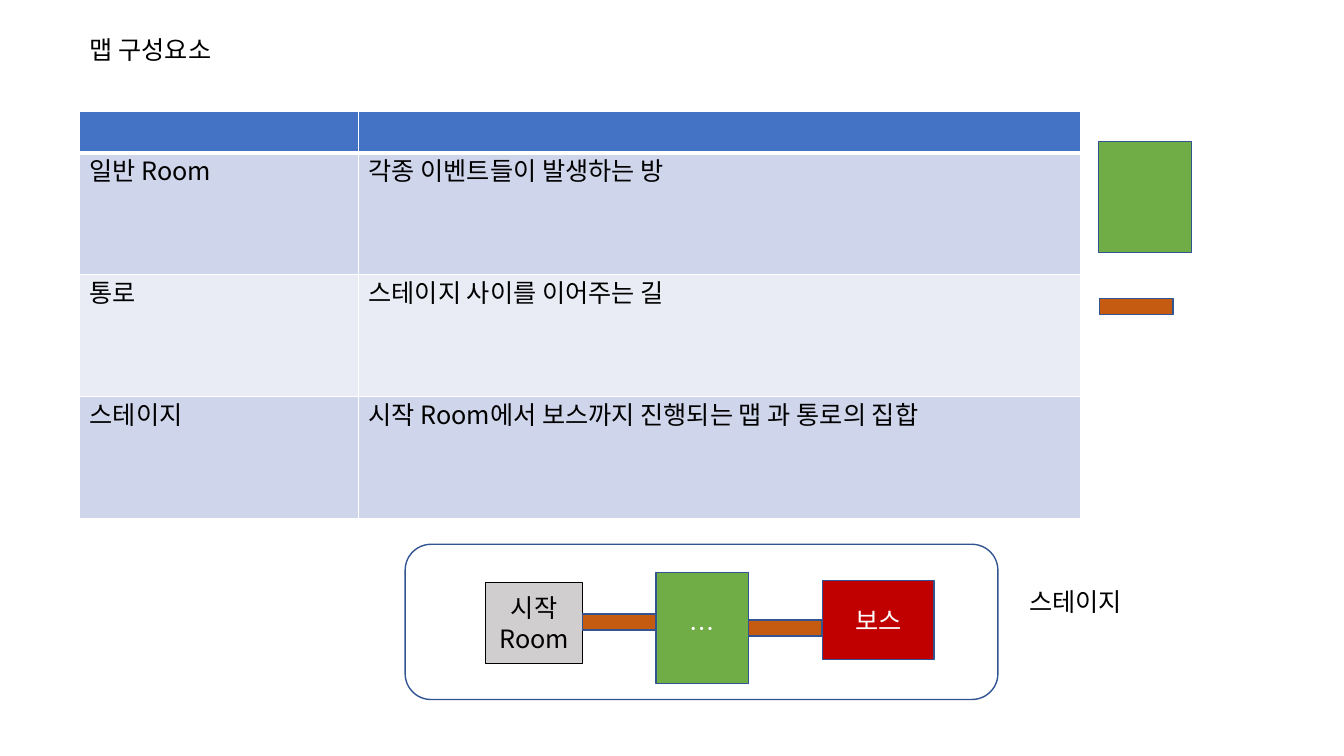
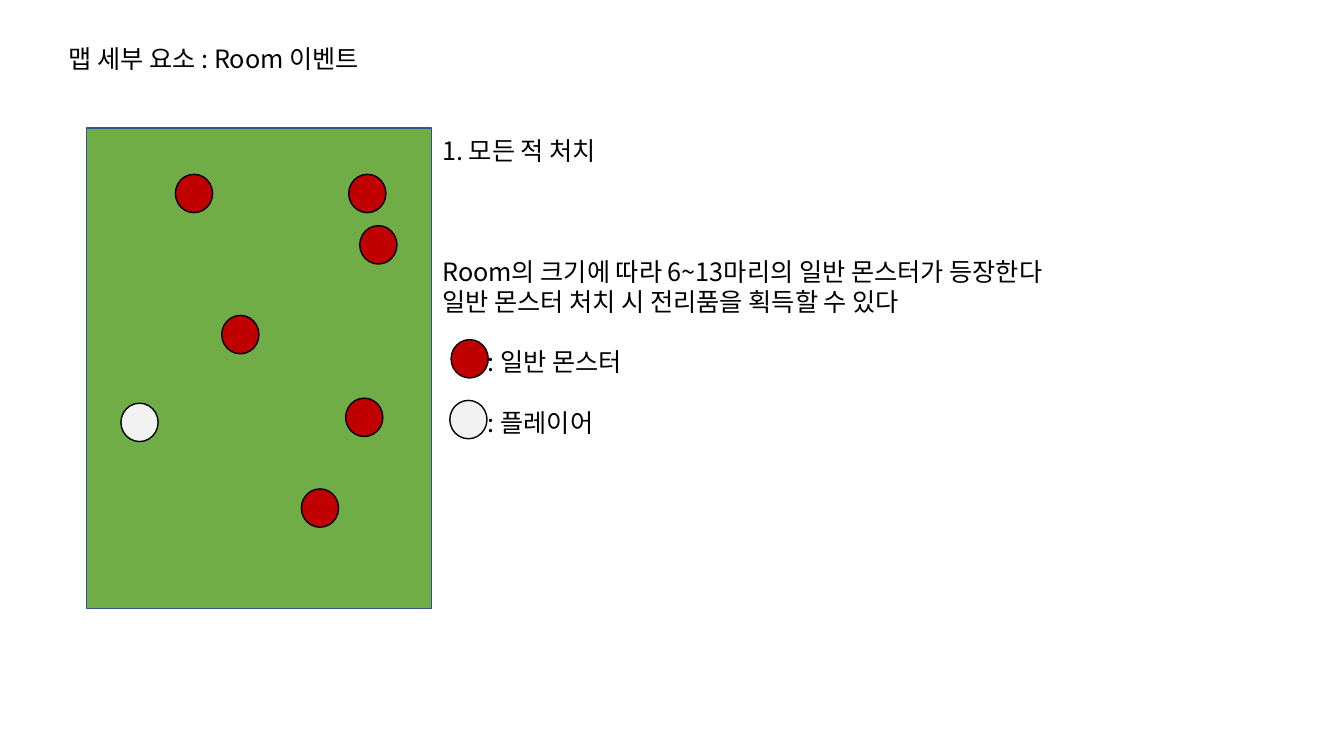
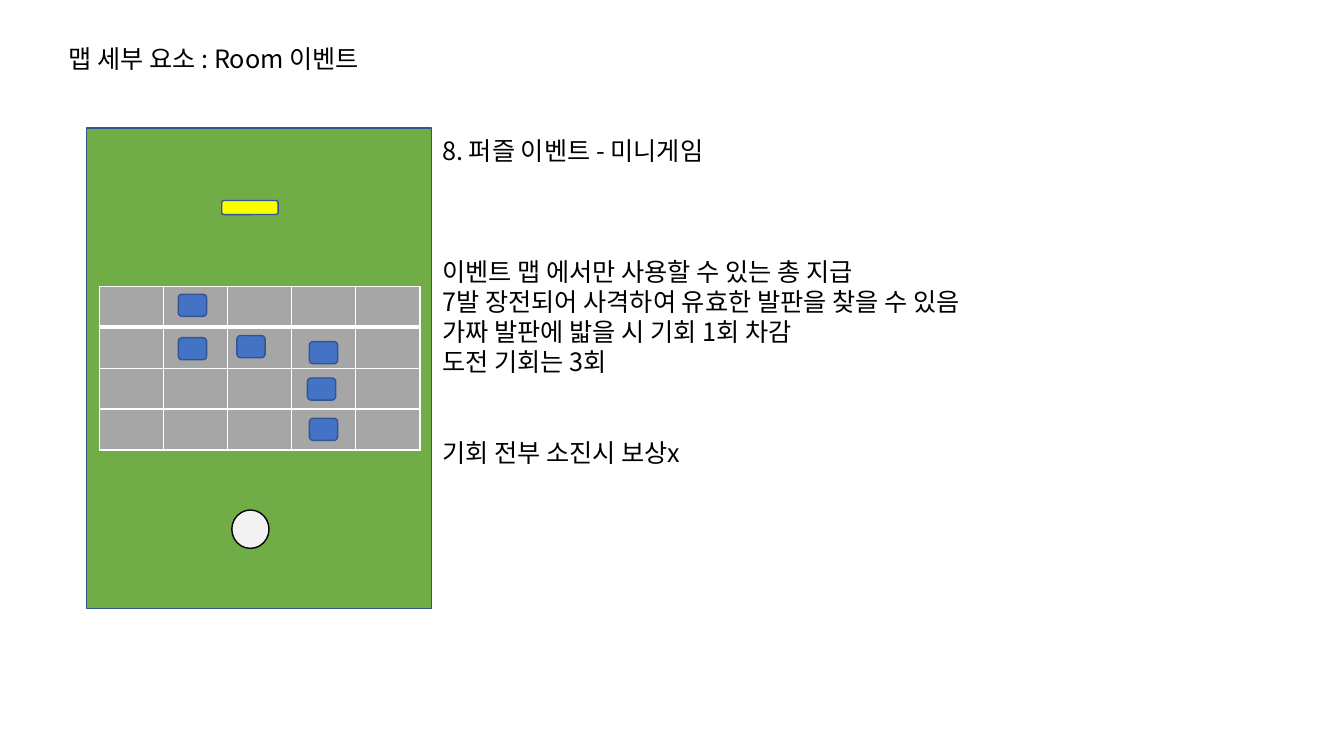
from lxml import etree
from pptx import Presentation
from pptx.dml.color import RGBColor
from pptx.enum.shapes import MSO_SHAPE
from pptx.enum.text import MSO_ANCHOR, MSO_AUTO_SIZE, PP_ALIGN
from pptx.oxml.ns import qn
from pptx.util import Pt

RECTANGLE = MSO_SHAPE.RECTANGLE
ROUNDED = MSO_SHAPE.ROUNDED_RECTANGLE
OVAL = MSO_SHAPE.OVAL
LEFT, CENTER = PP_ALIGN.LEFT, PP_ALIGN.CENTER
TOP, MIDDLE = MSO_ANCHOR.TOP, MSO_ANCHOR.MIDDLE
NO_AUTOSIZE = MSO_AUTO_SIZE.NONE

FONT = "Noto Sans CJK KR"
TEXT_SIZE = 18
LINE_PITCH = 21.6
TOP_INSET = 5
TITLE_ONLY = 5

BLACK, WHITE = "000000", "FFFFFF"
OUTLINE = "325491"
ROOM_GREEN = "70AD47"
CORRIDOR_ORANGE = "C55A11"
ENEMY_RED = "C00000"
PLAYER_GRAY = "F2F2F2"
START_GRAY = "D0CECE"
TILE_GRAY = "A6A6A6"
BLUE = "4472C4"
BANDS = ("CFD5EA", "E9EBF5")
GUN_YELLOW = "FFFF00"

ROOM_SIZE = (66.2, 79.2)
CORRIDOR_SIZE = (52.5, 11.5)
MARKER_SIZE = (26.6, 27.4)
BLOCK_SIZE = (20.2, 15.8)
ROOM_BOX = (61.9, 91.4, 246.2, 343.4)
NOTES_BOX = (308.9, 91.4, 640, 247)


def color(hex_string):
    return RGBColor.from_string(hex_string)


def points(values):
    return [Pt(value) for value in values]


def format_text(text_frame, text_color=BLACK, align=LEFT):
    for paragraph in text_frame.paragraphs:
        paragraph.alignment = align
        paragraph.line_spacing = Pt(LINE_PITCH)
        for run in paragraph.runs:
            run.font.size = Pt(TEXT_SIZE)
            run.font.name = FONT
            run.font.color.rgb = color(text_color)
            east_asian = etree.SubElement(run.font._element, qn("a:ea"))
            east_asian.set("typeface", FONT)


def format_frame(text_frame):
    text_frame.word_wrap = True
    text_frame.auto_size = NO_AUTOSIZE
    text_frame.vertical_anchor = TOP
    text_frame.margin_top = Pt(TOP_INSET)
    format_text(text_frame)


def add_titled_slide(presentation, title_text, left, top):
    slide = presentation.slides.add_slide(presentation.slide_layouts[TITLE_ONLY])
    title = slide.shapes.title
    title.left, title.top, title.width, title.height = points((left, top, 356.4, 28.8))
    title.text_frame.text = title_text
    format_frame(title.text_frame)
    return slide


def add_box(slide, kind, box, fill, line=OUTLINE, text="", text_color=WHITE):
    shape = slide.shapes.add_shape(kind, *points(box))
    shape.shadow.inherit = False
    if fill:
        shape.fill.solid()
        shape.fill.fore_color.rgb = color(fill)
    else:
        shape.fill.background()
    shape.line.color.rgb = color(line)
    shape.line.width = Pt(1)
    if text:
        shape.text_frame.text = text
        shape.text_frame.vertical_anchor = MIDDLE
        format_text(shape.text_frame, text_color, CENTER)


def add_notes(slide, box, lines):
    """Each line is its text, the number of lines left free above, and its indent."""
    text_frame = slide.shapes.add_textbox(*points(box)).text_frame
    text_frame.text = "\n".join(text for text, _, _ in lines)
    format_frame(text_frame)
    for paragraph, (_, free_lines, indent) in zip(text_frame.paragraphs, lines):
        paragraph.space_before = Pt(free_lines * LINE_PITCH)
        if indent:
            paragraph._p.get_or_add_pPr().set("marL", str(Pt(indent)))


def add_cell_borders(cell, widths):
    properties = cell._tc.get_or_add_tcPr()
    for side in ("L", "R", "T", "B"):
        line = etree.SubElement(properties, qn(f"a:ln{side}"), w=str(Pt(widths.get(side, 1))))
        fill = etree.SubElement(line, qn("a:solidFill"))
        etree.SubElement(fill, qn("a:srgbClr"), val=WHITE)


def add_grid(slide, left, top, column_widths, row_heights, row_fills, texts=None):
    """Table with white rules, the one under its first row being thicker."""
    box = (left, top, sum(column_widths), sum(row_heights))
    table = slide.shapes.add_table(len(row_heights), len(column_widths), *points(box)).table
    table.first_row = table.horz_banding = False
    for column, width in zip(table.columns, column_widths):
        column.width = Pt(width)
    for row_index, (row, height) in enumerate(zip(table.rows, row_heights)):
        row.height = Pt(height)
        for column_index, cell in enumerate(row.cells):
            add_cell_borders(cell, {0: {"B": 3}, 1: {"T": 3}}.get(row_index, {}))
            cell.fill.solid()
            cell.fill.fore_color.rgb = color(row_fills[row_index])
            if texts:
                cell.text_frame.text = texts[row_index][column_index]
            format_text(cell.text_frame)


def add_markers(slide, box, offsets, fill):
    for x, y in offsets:
        add_box(slide, OVAL, (box[0] + x, box[1] + y, *MARKER_SIZE), fill, BLACK)


def add_stage(slide, box):
    left, top, width, _ = box
    add_box(slide, ROUNDED, box, None)
    chain = [
        (27.4, (69.1, 57.6), START_GRAY, BLACK, "시작\nRoom", BLACK),
        (49.7, CORRIDOR_SIZE, CORRIDOR_ORANGE, OUTLINE, "", WHITE),
        (20.2, ROOM_SIZE, ROOM_GREEN, OUTLINE, "…", WHITE),
        (54, CORRIDOR_SIZE, CORRIDOR_ORANGE, OUTLINE, "", WHITE),
        (25.9, (79.9, 56.2), ENEMY_RED, OUTLINE, "보스", WHITE),
    ]
    x = left + 57.6
    for y, size, fill, line, text, text_color in chain:
        add_box(slide, RECTANGLE, (x, top + y, *size), fill, line, text, text_color)
        x += size[0]
    add_notes(slide, (left + width + 15.2, top + 25.2, 101.5, 28.8), [("스테이지", 0, 0)])


def add_parts_slide(presentation):
    slide = add_titled_slide(presentation, "맵 구성요소", 56.9, 19.4)
    texts = [
        ("", ""),
        ("일반 Room", "각종 이벤트들이 발생하는 방"),
        ("통로", "스테이지 사이를 이어주는 길"),
        ("스테이지", "시작 Room에서 보스까지 진행되는 맵 과 통로의 집합"),
    ]
    fills = (BLUE, BANDS[0], BANDS[1], BANDS[0])
    add_grid(slide, 56.9, 79.9, (199.2, 515.9), (29.1, 87.1, 87.1, 87.1), fills, texts)
    add_box(slide, RECTANGLE, (784.8, 101.2, *ROOM_SIZE), ROOM_GREEN)
    add_box(slide, RECTANGLE, (785.5, 213.4, *CORRIDOR_SIZE), CORRIDOR_ORANGE)
    add_stage(slide, (289.4, 388.8, 423.4, 110.9))


def add_event_slide(presentation, lines, player):
    slide = add_titled_slide(presentation, "맵 세부 요소 : Room 이벤트", 41.8, 25.9)
    add_notes(slide, NOTES_BOX, lines)
    add_box(slide, RECTANGLE, ROOM_BOX, ROOM_GREEN)
    add_markers(slide, ROOM_BOX, [player], PLAYER_GRAY)
    return slide


def add_battle_slide(presentation):
    lines = [
        ("1. 모든 적 처치", 0, 0),
        ("Room의 크기에 따라 6~13마리의 일반 몬스터가 등장한다", 3, 0),
        ("일반 몬스터 처치 시 전리품을 획득할 수 있다", 0, 0),
        (": 일반 몬스터", 1, 32.5),
        (": 플레이어", 1, 32.5),
    ]
    slide = add_event_slide(presentation, lines, (24.5, 196.6))
    enemies = [(195.1, 69.8), (153.4, 257.8), (187.2, 33.1),
               (63.4, 33.1), (185, 193), (96.5, 133.9)]
    add_markers(slide, ROOM_BOX, enemies, ENEMY_RED)
    add_markers(slide, NOTES_BOX, [(13.3, 151.2)], ENEMY_RED)
    add_markers(slide, NOTES_BOX, [(12.4, 194.6)], PLAYER_GRAY)


def add_puzzle_slide(presentation):
    lines = [
        ("8. 퍼즐 이벤트 - 미니게임", 0, 0),
        ("이벤트 맵 에서만 사용할 수 있는 총 지급", 3, 0),
        ("7발 장전되어 사격하여 유효한 발판을 찾을 수 있음", 0, 0),
        ("가짜 발판에 밟을 시 기회 1회 차감", 0, 0),
        ("도전 기회는 3회", 0, 0),
        ("기회 전부 소진시 보상x", 2, 0),
    ]
    slide = add_event_slide(presentation, lines, (103.7, 272.9))
    left, top = ROOM_BOX[:2]
    add_grid(slide, left + 9.2, top + 113.2, [45.8] * 5, [29.2] * 4, [TILE_GRAY] * 4)
    add_box(slide, ROUNDED, (left + 96.5, top + 51.8, 40.3, 10.1), GUN_YELLOW)
    blocks = [(157.7, 178.6), (159.1, 152.6), (107.3, 148.3),
              (159.1, 207.4), (65.5, 149.8), (65.5, 118.8)]
    for x, y in blocks:
        add_box(slide, ROUNDED, (left + x, top + y, *BLOCK_SIZE), BLUE)


def main():
    presentation = Presentation()
    presentation.slide_width, presentation.slide_height = points((960, 540))
    add_parts_slide(presentation)
    add_battle_slide(presentation)
    add_puzzle_slide(presentation)
    presentation.save("out.pptx")


if __name__ == "__main__":
    main()
